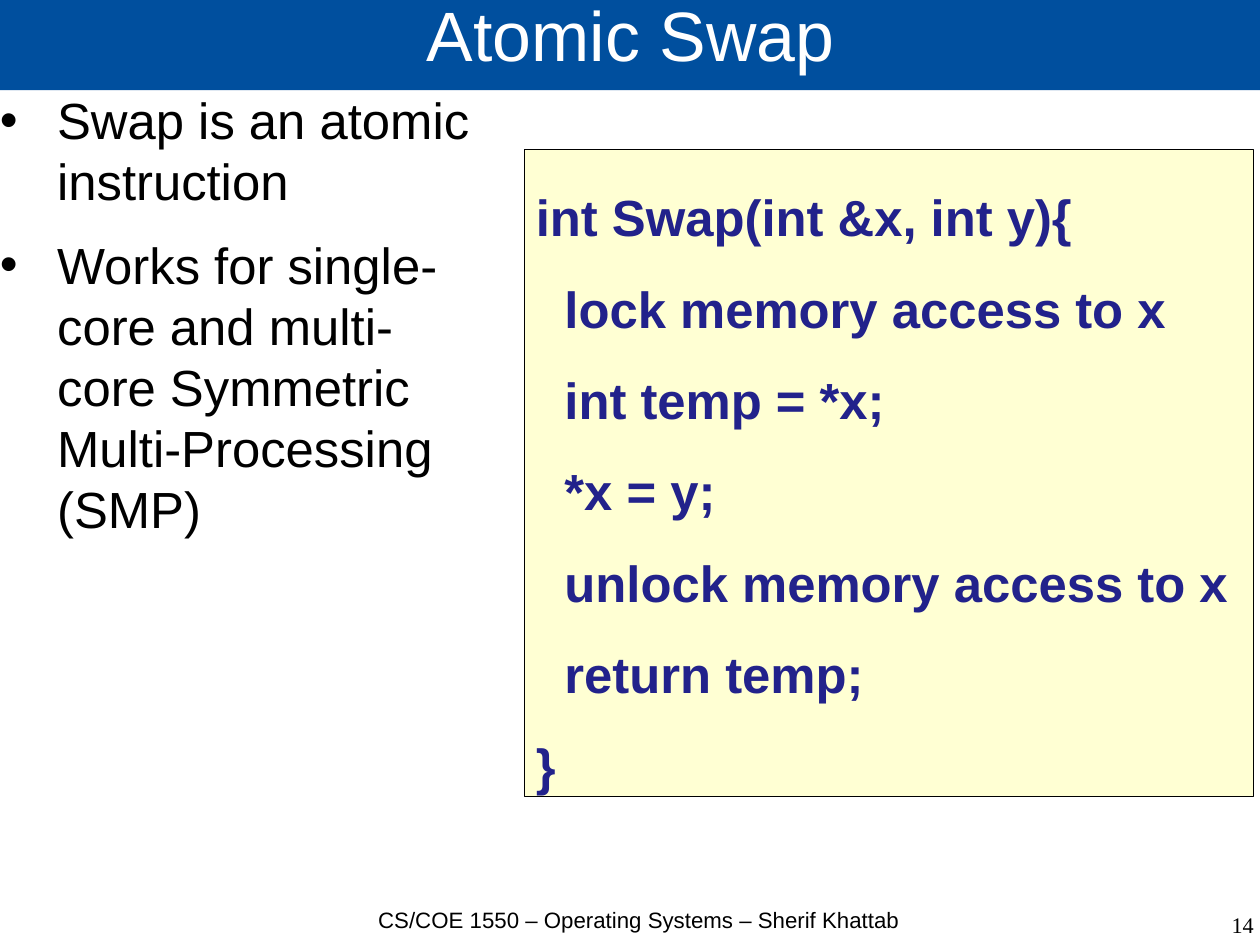
from dataclasses import dataclass

from lxml.etree import SubElement
from pptx import Presentation
from pptx.dml.color import RGBColor
from pptx.enum.shapes import MSO_SHAPE
from pptx.enum.text import MSO_ANCHOR, PP_ALIGN
from pptx.oxml.ns import qn
from pptx.slide import Slide
from pptx.text.text import _Paragraph as Para
from pptx.util import Inches, Pt

COLORS = {"blue": "004F9E", "cream": "FFFFD3", "navy": "22228B",
          "black": "000000", "white": "FFFFFF"}
# The page is 28 by 21 cm
WIDTH, HEIGHT = 28 / 2.54, 21 / 2.54


@dataclass
class Line:
    text: str
    left: float = 0
    bullet: bool = False


@dataclass
class Block:
    at: tuple[float, float, float, float]
    lines: list[Line]
    size: int
    color: str = "black"
    font: str = "Arial"
    bold: bool = False
    align: PP_ALIGN = PP_ALIGN.LEFT
    anchor: MSO_ANCHOR = MSO_ANCHOR.TOP
    space: float = 1.0
    after: float = 0
    inset: tuple[float, float] = (0, 0)
    fill: str = ""
    edge: str = ""


def tint(name: str) -> RGBColor:
    return RGBColor.from_string(COLORS[name])


def add_mark(para: Para) -> None:
    props = para._p.get_or_add_pPr()
    props.set("indent", str(-Inches(0.5)))
    color = SubElement(props, qn("a:buClr"))
    SubElement(color, qn("a:srgbClr"), val=COLORS["black"])
    SubElement(props, qn("a:buFont"), typeface="Arial")
    SubElement(props, qn("a:buChar"), char="•")


def add_line(para: Para, line: Line, block: Block) -> None:
    para.text = line.text
    para.alignment = block.align
    para.line_spacing = block.space
    para.space_after = Pt(block.after)
    para._p.get_or_add_pPr().set("marL", str(Inches(line.left)))
    if line.bullet:
        add_mark(para)
    for run in para.runs:
        run.font.name = block.font
        run.font.size = Pt(block.size)
        run.font.bold = block.bold
        run.font.color.rgb = tint(block.color)


def add_block(slide: Slide, block: Block) -> None:
    place = [Inches(n) for n in block.at]
    if block.fill:
        shape = slide.shapes.add_shape(MSO_SHAPE.RECTANGLE, *place)
        shape.shadow.inherit = False
        shape.fill.solid()
        shape.fill.fore_color.rgb = tint(block.fill)
        if block.edge:
            shape.line.color.rgb = tint(block.edge)
            shape.line.width = Pt(0.75)
        else:
            shape.line.fill.background()
    else:
        shape = slide.shapes.add_textbox(*place)
    frame = shape.text_frame
    frame.word_wrap = True
    frame.vertical_anchor = block.anchor
    side, edge = (Inches(n) for n in block.inset)
    frame.margin_left = frame.margin_right = side
    frame.margin_top = frame.margin_bottom = edge
    for num, line in enumerate(block.lines):
        para = frame.add_paragraph() if num else frame.paragraphs[0]
        add_line(para, line, block)


BLOCKS = [
    # Title bar
    Block((0, -0.02, 11.04, 0.81), [Line("Atomic Swap")], 44, "white",
          align=PP_ALIGN.CENTER, anchor=MSO_ANCHOR.MIDDLE, space=0.69,
          fill="blue"),
    # Bullet points
    Block((0, 0.78, 4.26, 7.18), [
        Line("Swap is an atomic instruction", 0.5, True),
        Line("Works for single-core and multi-core Symmetric "
             "Multi-Processing (SMP)", 0.5, True),
    ], 32, after=14.2),
    # Footer and page number
    Block((3.07, 7.94, 5.04, 0.55),
          [Line("CS/COE 1550 – Operating Systems – Sherif Khattab")], 14,
          align=PP_ALIGN.CENTER, space=0.96),
    Block((8.44, 7.99, 2.53, 0.55), [Line("14")], 14,
          font="Times New Roman", align=PP_ALIGN.RIGHT, space=0.96),
    # Code panel
    Block((4.59, 1.31, 6.38, 5.66), [
        Line("int Swap(int &x, int y){"),
        Line("lock memory access to x", 0.25),
        Line("int temp = *x;", 0.25),
        Line("*x = y;", 0.25),
        Line("unlock memory access to x", 0.25),
        Line("return temp;", 0.25),
        Line("}"),
    ], 32, "navy", bold=True, space=1.5, inset=(0.1, 0.05),
        fill="cream", edge="black"),
]


def main() -> None:
    deck = Presentation()
    deck.slide_width = Inches(WIDTH)
    deck.slide_height = Inches(HEIGHT)
    slide = deck.slides.add_slide(deck.slide_layouts[6])
    for block in BLOCKS:
        add_block(slide, block)
    deck.save("out.pptx")


if __name__ == "__main__":
    main()
